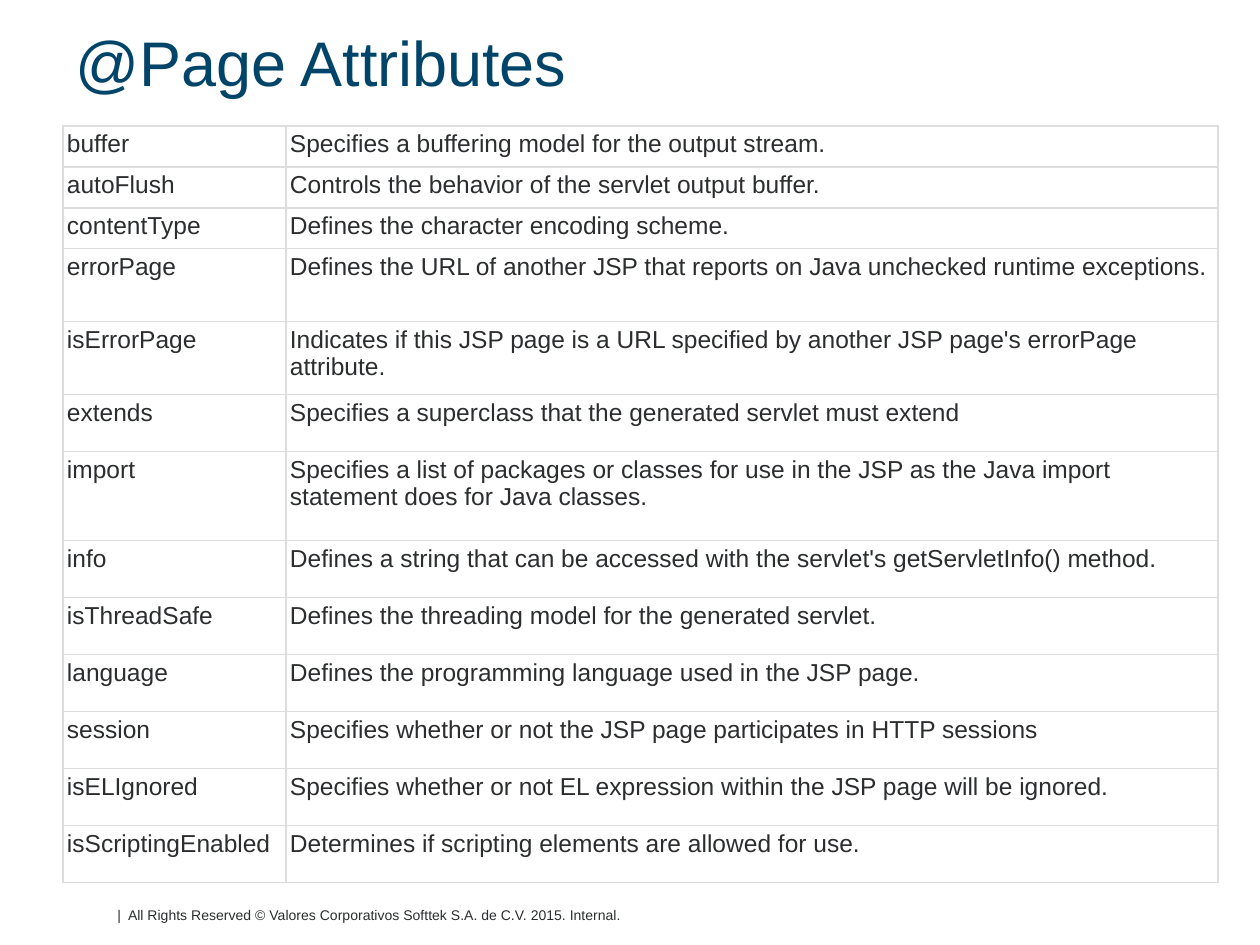
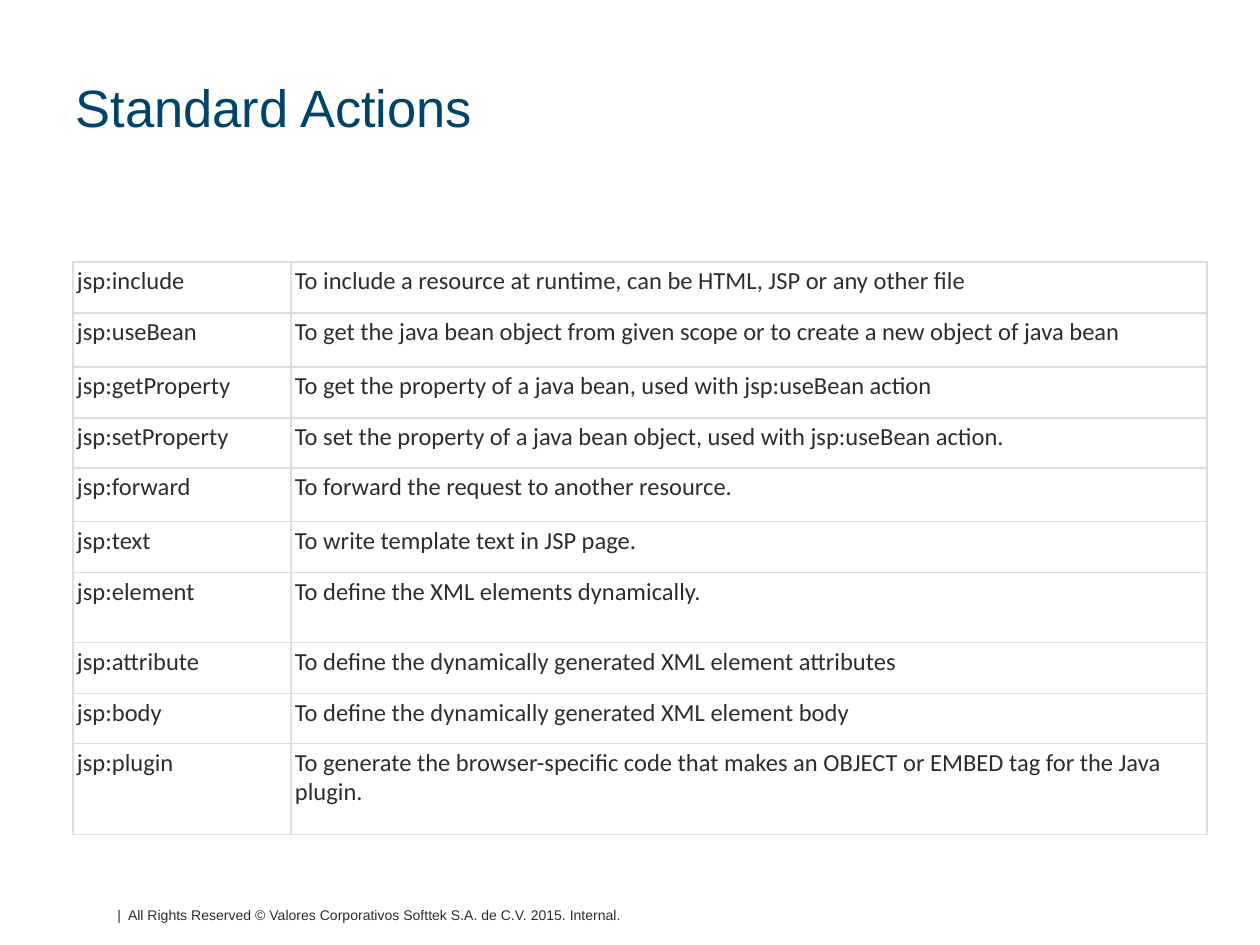
from dataclasses import dataclass

from lxml.etree import SubElement
from pptx import Presentation
from pptx.dml.color import RGBColor
from pptx.enum.text import MSO_ANCHOR, MSO_AUTO_SIZE, PP_ALIGN
from pptx.oxml.ns import qn
from pptx.slide import Slide
from pptx.table import _Cell
from pptx.text.text import _Paragraph
from pptx.util import Emu, Pt

COLORS = {"title": "004569", "text": "2B2D2E", "border": "DDDDDD", "paper": "FFFFFF"}
EMU_PER_PX = 914400 / 126
TITLE_FONT = "Arial"
TITLE_LINE = Pt(30)
CELL_MARGIN = 4
CELL_SIZE = 14
BORDER_WIDTH = Pt(0.75)
FOOTER = "|  All Rights Reserved © Valores Corporativos Softtek S.A. de C.V. 2015. Internal."


@dataclass(frozen=True)
class Area:
    left: int
    top: int
    width: int
    height: int

    def lengths(self) -> tuple[Emu, Emu, Emu, Emu]:
        return px(self.left), px(self.top), px(self.width), px(self.height)


@dataclass(frozen=True)
class Entry:
    name: str
    meaning: str
    height: int


@dataclass(frozen=True)
class Glossary:
    title: str
    title_area: Area
    title_size: int
    left: int
    top: int
    columns: tuple[int, int]
    font: str
    entries: tuple[Entry, ...]

    def table_area(self) -> Area:
        return Area(self.left, self.top, sum(self.columns), sum(entry.height for entry in self.entries))


FOOTER_AREA = Area(105, 900, 704, 20)

PAGE_ATTRIBUTES = Glossary(
    title="@Page Attributes",
    title_area=Area(63, 38, 1134, 67),
    title_size=36,
    left=63,
    top=126,
    columns=(223, 932),
    font="Arial",
    entries=(
        Entry("buffer", "Specifies a buffering model for the output stream.", 41),
        Entry("autoFlush", "Controls the behavior of the servlet output buffer.", 41),
        Entry("contentType", "Defines the character encoding scheme.", 41),
        Entry("errorPage", "Defines the URL of another JSP that reports on Java unchecked runtime exceptions.", 73),
        Entry("isErrorPage", "Indicates if this JSP page is a URL specified by another JSP page's errorPage attribute.", 73),
        Entry("extends", "Specifies a superclass that the generated servlet must extend", 57),
        Entry("import", "Specifies a list of packages or classes for use in the JSP as the Java import "
              "statement does for Java classes.", 89),
        Entry("info", "Defines a string that can be accessed with the servlet's getServletInfo() method.", 57),
        Entry("isThreadSafe", "Defines the threading model for the generated servlet.", 57),
        Entry("language", "Defines the programming language used in the JSP page.", 57),
        Entry("session", "Specifies whether or not the JSP page participates in HTTP sessions", 57),
        Entry("isELIgnored", "Specifies whether or not EL expression within the JSP page will be ignored.", 57),
        Entry("isScriptingEnabled", "Determines if scripting elements are allowed for use.", 57),
    ),
)

STANDARD_ACTIONS = Glossary(
    title="Standard Actions",
    title_area=Area(63, 27, 992, 117),
    title_size=30,
    left=73,
    top=262,
    columns=(218, 916),
    font="Calibri",
    entries=(
        Entry("jsp:include", "To include a resource at runtime, can be HTML, JSP or any other file", 51),
        Entry("jsp:useBean", "To get the java bean object from given scope or to create a new object of java bean", 54),
        Entry("jsp:getProperty", "To get the property of a java bean, used with jsp:useBean action", 51),
        Entry("jsp:setProperty", "To set the property of a java bean object, used with jsp:useBean action.", 50),
        Entry("jsp:forward", "To forward the request to another resource.", 54),
        Entry("jsp:text", "To write template text in JSP page.", 51),
        Entry("jsp:element", "To define the XML elements dynamically.", 70),
        Entry("jsp:attribute", "To define the dynamically generated XML element attributes", 51),
        Entry("jsp:body", "To define the dynamically generated XML element body", 50),
        Entry("jsp:plugin", "To generate the browser-specific code that makes an OBJECT or EMBED tag "
              "for the Java plugin.", 91),
    ),
)


def px(length: int) -> Emu:
    return Emu(round(length * EMU_PER_PX))


def format_spans(paragraph: _Paragraph, font: str, size: int, color: str) -> None:
    for span in paragraph.runs:
        span.font.name = font
        span.font.size = Pt(size)
        span.font.color.rgb = RGBColor.from_string(COLORS[color])


def draw_title(page: Slide, glossary: Glossary) -> None:
    box = page.shapes.title
    box.left, box.top, box.width, box.height = glossary.title_area.lengths()
    frame = box.text_frame
    frame.text = glossary.title
    frame.auto_size = MSO_AUTO_SIZE.NONE
    frame.vertical_anchor = MSO_ANCHOR.BOTTOM
    paragraph = frame.paragraphs[0]
    paragraph.alignment = PP_ALIGN.LEFT
    paragraph.line_spacing = TITLE_LINE
    format_spans(paragraph, TITLE_FONT, glossary.title_size, "title")


def draw_footer(page: Slide) -> None:
    frame = page.shapes.add_textbox(*FOOTER_AREA.lengths()).text_frame
    frame.word_wrap = True
    frame.text = FOOTER
    format_spans(frame.paragraphs[0], TITLE_FONT, 8, "text")


def draw_borders(cell: _Cell) -> None:
    properties = cell._tc.get_or_add_tcPr()
    for side in ("a:lnL", "a:lnR", "a:lnT", "a:lnB"):
        line = SubElement(properties, qn(side), w=str(BORDER_WIDTH))
        fill = SubElement(line, qn("a:solidFill"))
        SubElement(fill, qn("a:srgbClr"), val=COLORS["border"])


def fill_cell(cell: _Cell, text: str, font: str) -> None:
    draw_borders(cell)
    cell.fill.solid()
    cell.fill.fore_color.rgb = RGBColor.from_string(COLORS["paper"])
    cell.margin_left = cell.margin_right = px(CELL_MARGIN)
    cell.margin_top = cell.margin_bottom = px(CELL_MARGIN)
    cell.text_frame.text = text
    format_spans(cell.text_frame.paragraphs[0], font, CELL_SIZE, "text")


def draw_table(page: Slide, glossary: Glossary) -> None:
    frame = page.shapes.add_table(len(glossary.entries), len(glossary.columns), *glossary.table_area().lengths())
    table = frame.table
    table.first_row = table.horz_banding = False
    for column, width in zip(table.columns, glossary.columns):
        column.width = px(width)
    for row, entry in zip(table.rows, glossary.entries):
        row.height = px(entry.height)
        for cell, text in zip(row.cells, (entry.name, entry.meaning)):
            fill_cell(cell, text, glossary.font)


def main() -> None:
    deck = Presentation()
    deck.slide_width, deck.slide_height = px(1260), px(945)
    title_only = deck.slide_layouts.get_by_name("Title Only")
    for glossary in (PAGE_ATTRIBUTES, STANDARD_ACTIONS):
        page = deck.slides.add_slide(title_only)
        draw_footer(page)
        draw_title(page, glossary)
        draw_table(page, glossary)
    deck.save("out.pptx")


if __name__ == "__main__":
    main()
